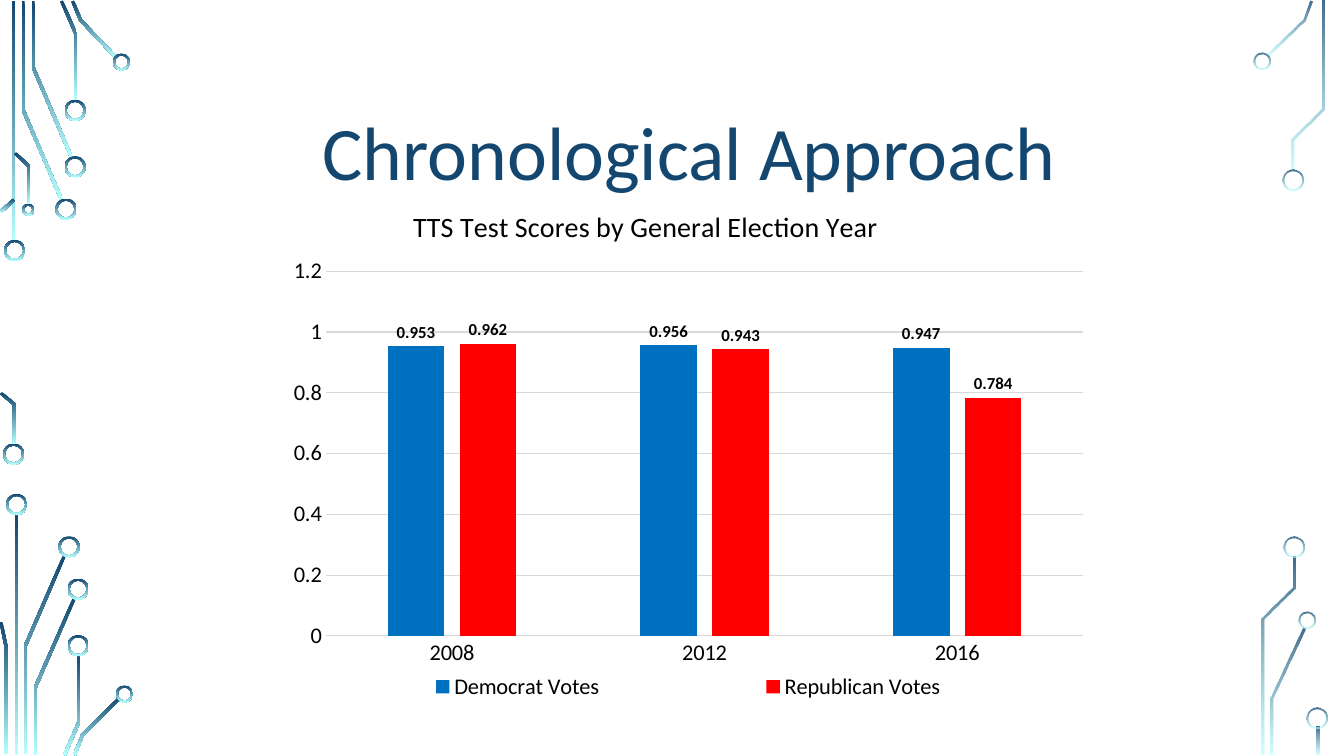
from lxml.etree import SubElement
from pptx import Presentation
from pptx.chart.data import CategoryChartData
from pptx.dml.color import RGBColor
from pptx.enum.chart import XL_CHART_TYPE, XL_LABEL_POSITION, XL_LEGEND_POSITION, XL_TICK_MARK
from pptx.enum.shapes import MSO_SHAPE
from pptx.enum.text import MSO_ANCHOR, MSO_AUTO_SIZE, PP_ALIGN
from pptx.oxml.ns import qn
from pptx.util import Inches, Pt

BLACK = RGBColor(0, 0, 0)
theme = {
    "trace_top": RGBColor(0x13, 0x47, 0x70),
    "trace_bottom": RGBColor(0xB4, 0xFF, 0xFF),
    "grid": RGBColor(0xD9, 0xD9, 0xD9),
    "democrat": RGBColor(0x00, 0x70, 0xC0),
    "republican": RGBColor(0xFF, 0x00, 0x00),
    "heading": {"name": "Calibri", "size": Pt(54), "color": RGBColor(0x13, 0x47, 0x70)},
    "chart": {"name": "Calibri", "size": Pt(10), "color": BLACK},
    "chart_title": {"name": "Calibri", "size": Pt(20), "bold": False, "color": BLACK},
    "axis": {"name": "Calibri", "size": Pt(16), "color": BLACK},
    "label": {"name": "Calibri", "size": Pt(12), "bold": True, "color": BLACK},
}


def style_font(font, role):
    for name, value in theme[role].items():
        if name == "color":
            font.color.rgb = value
        else:
            setattr(font, name, value)


def place_chart_part(part, index, edges):
    for old_layout in part.findall(qn("c:layout")):
        part.remove(old_layout)
    layout = SubElement(part, qn("c:layout"))
    part.insert(index, layout)
    manual = SubElement(layout, qn("c:manualLayout"))
    for name, value in edges.items():
        SubElement(manual, qn(f"c:{name}")).set("val", str(value))


deck = Presentation()
deck.slide_width, deck.slide_height = Inches(13.33), Inches(7.5)
page = deck.slides.add_slide(deck.slide_layouts[5])

TRACE_WIDTH = 0.03
RING_WIDTH = 0.02
circuits = [
    {
        "opacity": (100, 100),
        "stems": [(0.12, 0.01, 2.39), (0.15, 5.1, 2.39)],
        "traces": [
            [(0.23, 0.01), (0.23, 1.09), (0.61, 1.98)],
            [(0.33, 0.01), (0.33, 0.67), (0.71, 1.56)],
            [(0.61, 0.01), (0.75, 0.33), (0.75, 1)],
            [(0.72, 0.01), (0.8, 0.2), (1.15, 0.57)],
            [(0.01, 2.1), (0.14, 1.98)],
            [(0.01, 3.9), (0.14, 4.01), (0.14, 4.41)],
            [(0.15, 1.52), (0.29, 1.65), (0.29, 2.03)],
            [(0.25, 7.48), (0.25, 6.41), (0.64, 5.51)],
            [(0.01, 6.17), (0.06, 6.41), (0.06, 7.48)],
            [(0.35, 7.49), (0.35, 6.82), (0.74, 5.93)],
            [(0.64, 7.49), (0.78, 7.17), (0.78, 6.5)],
            [(0.74, 7.49), (0.82, 7.29), (1.18, 6.93)],
        ],
        "rings": [
            (0.04, 2.38, 0.21), (0.03, 4.4, 0.21), (0.55, 1.97, 0.21), (0.64, 1.55, 0.21),
            (0.64, 0.99, 0.21), (1.12, 0.53, 0.17), (0.22, 2.02, 0.12), (0.06, 4.9, 0.21),
            (0.58, 5.32, 0.21), (0.67, 5.74, 0.21), (0.67, 6.3, 0.21), (1.15, 6.8, 0.17),
        ],
    },
    {
        "opacity": (80, 60),
        "stems": [(13.06, 7.21, 0.28)],
        "traces": [
            [(13, 0.01), (12.93, 0.2), (12.57, 0.55)],
            [(12.62, 7.49), (12.62, 6.93), (12.93, 6.23)],
            [(13.12, 0.01), (13.12, 1.08), (12.82, 1.38), (12.82, 1.69)],
            [(12.53, 7.49), (12.53, 6.14), (12.83, 5.83), (12.83, 5.52)],
        ],
        "rings": [
            (12.43, 0.52, 0.17), (12.72, 1.68, 0.21), (12.88, 6.07, 0.17),
            (12.73, 5.32, 0.21), (12.96, 7.02, 0.21),
        ],
    },
]

for circuit in circuits:
    parts = []
    for left, top, height in circuit["stems"]:
        parts.append(page.shapes.add_shape(
            MSO_SHAPE.RECTANGLE, Inches(left), Inches(top), Inches(TRACE_WIDTH), Inches(height)))
    for trace in circuit["traces"]:
        points = [complex(*point) for point in trace]
        steps = [(end - start) / abs(end - start) for start, end in zip(points, points[1:])]
        near_side, far_side = [], []
        for point, before, after in zip(points, steps[:1] + steps, steps + steps[-1:]):
            bend = before + after
            offset = 1j * bend * TRACE_WIDTH / abs(bend) ** 2
            near_side.append(point + offset)
            far_side.insert(0, point - offset)
        outline = [(Inches(corner.real), Inches(corner.imag)) for corner in near_side + far_side]
        builder = page.shapes.build_freeform(*outline[0])
        builder.add_line_segments(outline[1:], close=True)
        parts.append(builder.convert_to_shape())
    for left, top, size in circuit["rings"]:
        ring = page.shapes.add_shape(
            MSO_SHAPE.DONUT, Inches(left), Inches(top), Inches(size), Inches(size))
        ring.adjustments[0] = RING_WIDTH / size
        parts.append(ring)
    for part in parts:
        part.shadow.inherit = False
        part.line.fill.background()
        part.fill.gradient()
        part.fill.gradient_angle = 270
        for stop, color in zip(part.fill.gradient_stops, ("trace_top", "trace_bottom")):
            stop.color.rgb = theme[color]
        for color, opacity in zip(part._element.iter(qn("a:srgbClr")), circuit["opacity"]):
            if opacity < 100:
                SubElement(color, qn("a:alpha")).set("val", str(opacity * 1000))

heading = page.shapes.title
heading.left, heading.top = Inches(1.25), Inches(1.09)
heading.width, heading.height = Inches(11.17), Inches(0.75)
frame = heading.text_frame
frame.text = "Chronological Approach"
for name, value in {"auto_size": MSO_AUTO_SIZE.NONE, "word_wrap": True,
                    "vertical_anchor": MSO_ANCHOR.TOP}.items():
    setattr(frame, name, value)
para = frame.paragraphs[0]
para.alignment, para.line_spacing = PP_ALIGN.CENTER, 0.9
style_font(para.runs[0].font, "heading")

scores = CategoryChartData()
scores.categories = ["2008", "2012", "2016"]
scores.add_series("Democrat Votes", (0.953, 0.956, 0.947))
scores.add_series("Republican Votes", (0.962, 0.943, 0.784))
chart = page.shapes.add_chart(
    XL_CHART_TYPE.COLUMN_CLUSTERED, Inches(2.74), Inches(1.84), Inches(8.17), Inches(5.32), scores).chart
style_font(chart.font, "chart")

chart.has_title = True
chart_title = chart.chart_title
chart_title.include_in_layout = False
chart_title.text_frame.text = "TTS Test Scores by General Election Year"
style_font(chart_title.text_frame.paragraphs[0].runs[0].font, "chart_title")

chart.has_legend = True
legend = chart.legend
legend.position, legend.include_in_layout = XL_LEGEND_POSITION.BOTTOM, False
style_font(legend.font, "axis")

for axis in (chart.category_axis, chart.value_axis):
    axis.major_tick_mark = axis.minor_tick_mark = XL_TICK_MARK.NONE
    style_font(axis.tick_labels.font, "axis")
value_axis = chart.value_axis
for name, value in {"minimum_scale": 0, "maximum_scale": 1.2, "major_unit": 0.2}.items():
    setattr(value_axis, name, value)
value_axis.format.line.fill.background()
for line in (chart.category_axis.format.line, value_axis.major_gridlines.format.line):
    line.color.rgb, line.width = theme["grid"], Pt(0.75)

plot = chart.plots[0]
plot.gap_width, plot.overlap, plot.vary_by_categories = 219, -27, False
for series, color in zip(plot.series, ("democrat", "republican")):
    series.format.fill.solid()
    series.format.fill.fore_color.rgb = theme[color]
    labels = series.data_labels
    labels.show_value, labels.position = True, XL_LABEL_POSITION.OUTSIDE_END
    style_font(labels.font, "label")

edge_modes = {"xMode": "edge", "yMode": "edge"}
place_chart_part(chart._chartSpace.chart.plotArea, 0, {
    "layoutTarget": "inner", **edge_modes, "x": 0.06, "y": 0.16, "w": 0.92, "h": 0.68})
place_chart_part(chart_title._element, 1, {**edge_modes, "x": 0.16, "y": 0.03})
place_chart_part(legend._element, 1, {**edge_modes, "x": 0, "y": 0.9, "w": 1, "h": 0.07})

deck.save("out.pptx")
